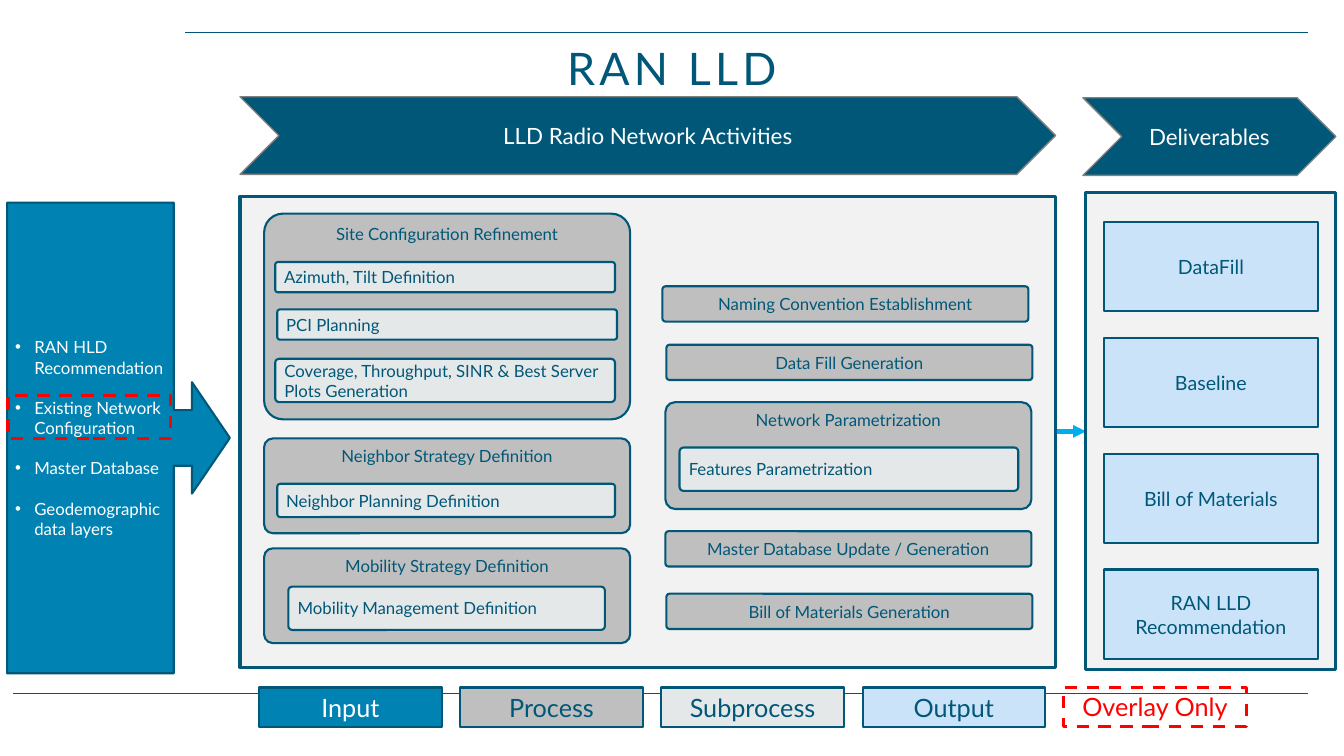
from lxml.etree import SubElement
from pptx import Presentation
from pptx.dml.color import RGBColor
from pptx.enum.dml import MSO_LINE
from pptx.enum.shapes import MSO_CONNECTOR, MSO_SHAPE
from pptx.enum.text import MSO_ANCHOR, PP_ALIGN
from pptx.oxml.ns import qn
from pptx.util import Inches, Pt

NAVY = RGBColor(0x00, 0x57, 0x78)
INPUT_BLUE = RGBColor(0x00, 0x83, 0xB3)
ARROW_BLUE = RGBColor(0x00, 0xAE, 0xEF)
PROCESS_GREY = RGBColor(0xBF, 0xBF, 0xBF)
SUBPROCESS_GREY = RGBColor(0xE5, 0xE8, 0xE8)
OUTPUT_BLUE = RGBColor(0xCB, 0xE3, 0xF9)
PANEL_GREY = RGBColor(0xF2, 0xF2, 0xF2)
EDGE_GREY = RGBColor(0x80, 0x80, 0x80)
RED = RGBColor(0xFF, 0x00, 0x00)
WHITE = RGBColor(0xFF, 0xFF, 0xFF)

INPUTS = ["RAN HLD Recommendation", "Existing Network Configuration",
          "Master Database", "Geodemographic data layers"]
OUTPUTS = ["DataFill", "Baseline", "Bill of Materials", "RAN LLD Recommendation"]
LEGEND = [("Input", INPUT_BLUE, WHITE), ("Process", PROCESS_GREY, NAVY),
          ("Subprocess", SUBPROCESS_GREY, NAVY), ("Output", OUTPUT_BLUE, NAVY)]

# Process: name, left, top, height, subprocesses (name, left, top, width, height)
PROCESSES = [
    ("Site Configuration Refinement", 2.62, 2.12, 2.04, [
        ("Azimuth, Tilt Definition", 2.73, 2.6, 3.37, 0.3),
        ("PCI Planning", 2.75, 3.07, 3.37, 0.3),
        ("Coverage, Throughput, SINR & Best Server Plots Generation",
         2.73, 3.56, 3.37, 0.43)]),
    ("Neighbor Strategy Definition", 2.62, 4.35, 0.94, [
        ("Neighbor Planning Definition", 2.75, 4.8, 3.35, 0.33)]),
    ("Mobility Strategy Definition", 2.62, 5.44, 0.94, [
        ("Mobility Management Definition", 2.86, 5.82, 3.14, 0.43)]),
    ("Naming Convention Establishment", 6.57, 2.84, 0.35, []),
    ("Data Fill Generation", 6.61, 3.42, 0.35, []),
    ("Network Parametrization", 6.6, 3.99, 1.06, [
        ("Features Parametrization", 6.74, 4.44, 3.36, 0.43)]),
    ("Master Database Update / Generation", 6.6, 5.27, 0.35, []),
    ("Bill of Materials Generation", 6.61, 5.89, 0.35, []),
]


class ProcessSlide:
    font_name = "Lato"

    def __init__(self, slide):
        self.slide = slide

    def style(self, paragraph, size, color, align):
        paragraph.alignment = align
        paragraph.font.name = self.font_name
        paragraph.font.size = Pt(size)
        paragraph.font.color.rgb = color

    def title(self, text):
        title = self.slide.shapes.add_textbox(
            Inches(0), Inches(0.38), Inches(13.33), Inches(0.6))
        frame = title.text_frame
        frame.word_wrap = True
        frame.vertical_anchor = MSO_ANCHOR.BOTTOM
        heading = frame.paragraphs[0]
        heading.line_spacing = 0.8
        run = heading.add_run()
        run.text = text
        self.style(heading, 32, NAVY, PP_ALIGN.CENTER)
        run.font.size = Pt(32)
        run._r.get_or_add_rPr().set("spc", "300")

    def line(self, x1, y1, x2, y2, color=NAVY, width=1, arrow=False):
        line = self.slide.shapes.add_connector(
            MSO_CONNECTOR.STRAIGHT, Inches(x1), Inches(y1), Inches(x2), Inches(y2))
        line.line.color.rgb = color
        line.line.width = Pt(width)
        if arrow:
            SubElement(line.line._get_or_add_ln(), qn("a:tailEnd"), type="triangle")
        SubElement(line._element.spPr, qn("a:effectLst"))

    def box(self, left, top, width, height, fill=None, text="", size=12, color=NAVY,
            kind=MSO_SHAPE.RECTANGLE, adjustments=(), edge=NAVY, edge_width=1.5,
            dashed=False, align=PP_ALIGN.CENTER, anchor=MSO_ANCHOR.MIDDLE):
        box = self.slide.shapes.add_shape(
            kind, Inches(left), Inches(top), Inches(width), Inches(height))
        box.shadow.inherit = False
        for index, value in enumerate(adjustments):
            box.adjustments[index] = value
        if fill is None:
            box.fill.background()
        else:
            box.fill.solid()
            box.fill.fore_color.rgb = fill
        box.line.color.rgb = edge
        box.line.width = Pt(edge_width)
        if dashed:
            box.line.dash_style = MSO_LINE.DASH
        frame = box.text_frame
        frame.word_wrap = True
        frame.vertical_anchor = anchor
        frame.margin_left = frame.margin_right = Inches(0.08)
        frame.margin_top = frame.margin_bottom = Inches(0.05)
        if text:
            frame.text = text
            self.style(frame.paragraphs[0], size, color, align)
        return box

    def rounded(self, *place, **options):
        self.box(*place, kind=MSO_SHAPE.ROUNDED_RECTANGLE, adjustments=[0.091], **options)

    def chevron(self, left, top, width, text):
        self.box(left, top, width, 0.77, NAVY, text, 16, WHITE,
                 kind=MSO_SHAPE.CHEVRON, edge=EDGE_GREY, edge_width=1)

    def panel(self, left, top, width, height):
        self.box(left, top, width, height, PANEL_GREY, edge_width=2.25)

    def overlay(self, left, top, width, height, text=""):
        self.box(left, top, width, height, text=text, size=18, color=RED, edge=RED,
                 edge_width=2.25, dashed=True, anchor=MSO_ANCHOR.BOTTOM)

    def process(self, name, left, top, height, subprocesses):
        self.rounded(left, top, 3.63, height, PROCESS_GREY, text=name,
                     anchor=MSO_ANCHOR.TOP if subprocesses else MSO_ANCHOR.MIDDLE)
        for subname, *place in subprocesses:
            self.rounded(*place, SUBPROCESS_GREY, text=subname, align=PP_ALIGN.LEFT)

    def input_callout(self, items):
        callout = self.box(0.07, 2.01, 2.21, 4.67, INPUT_BLUE,
                           kind=MSO_SHAPE.RIGHT_ARROW_CALLOUT,
                           adjustments=[0.25, 0.25, 0.17, 0.748])
        frame = callout.text_frame
        for index, item in enumerate(items):
            entry = frame.add_paragraph() if index else frame.paragraphs[0]
            entry.text = item
            properties = entry._p.get_or_add_pPr()
            properties.set("marL", str(Inches(0.19)))
            properties.set("indent", str(-Inches(0.19)))
            SubElement(properties, qn("a:buFont"), typeface="Arial")
            SubElement(properties, qn("a:buChar"), char="•")
            if index:
                entry.space_before = Pt(14.4)
            self.style(entry, 12, WHITE, PP_ALIGN.LEFT)


def main():
    presentation = Presentation()
    presentation.slide_width = Inches(13.33)
    presentation.slide_height = Inches(7.5)
    page = ProcessSlide(presentation.slides.add_slide(presentation.slide_layouts[6]))

    page.line(1.84, 0.32, 12.97, 0.32)
    page.line(0.13, 6.88, 12.97, 6.88)
    page.title("RAN LLD")
    page.line(10.47, 4.28, 10.77, 4.28, ARROW_BLUE, 3, arrow=True)

    page.chevron(2.38, 0.96, 8.09, "LLD Radio Network Activities")
    page.panel(2.38, 1.95, 8.09, 4.67)
    for process in PROCESSES:
        page.process(*process)

    page.chevron(10.74, 0.97, 2.51, "Deliverables")
    page.panel(10.77, 1.91, 2.48, 4.73)
    for index, output in enumerate(OUTPUTS):
        page.box(10.95, 2.2 + 1.15 * index, 2.12, 0.89, OUTPUT_BLUE, output, 14)

    page.input_callout(INPUTS)
    page.overlay(0.08, 3.92, 1.61, 0.43)

    legend_left, legend_step = 2.57, 7.98 / len(LEGEND)
    for index, (label, fill, color) in enumerate(LEGEND):
        page.box(legend_left + index * legend_step, 6.82, 1.81, 0.39,
                 fill, label, 18, color)
    page.overlay(legend_left + len(LEGEND) * legend_step, 6.82, 1.81, 0.39, "Overlay Only")

    presentation.save("out.pptx")


if __name__ == "__main__":
    main()
